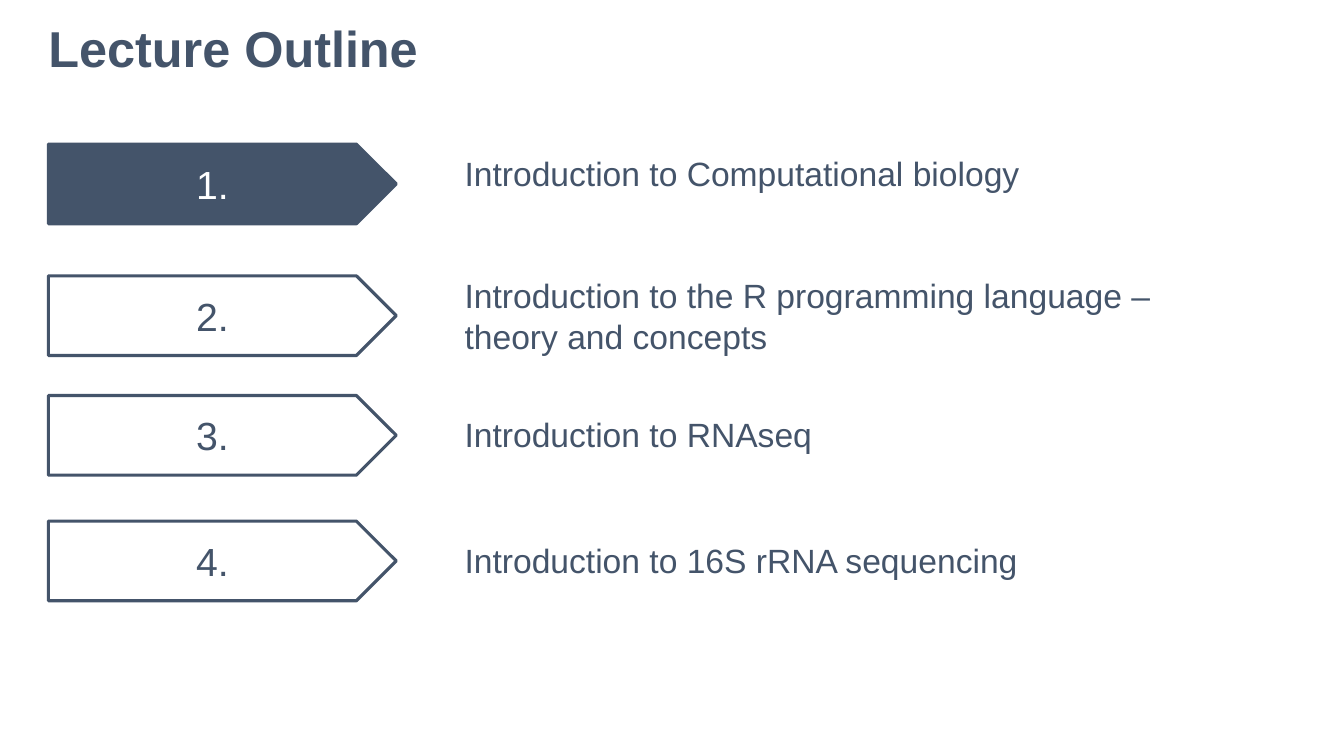
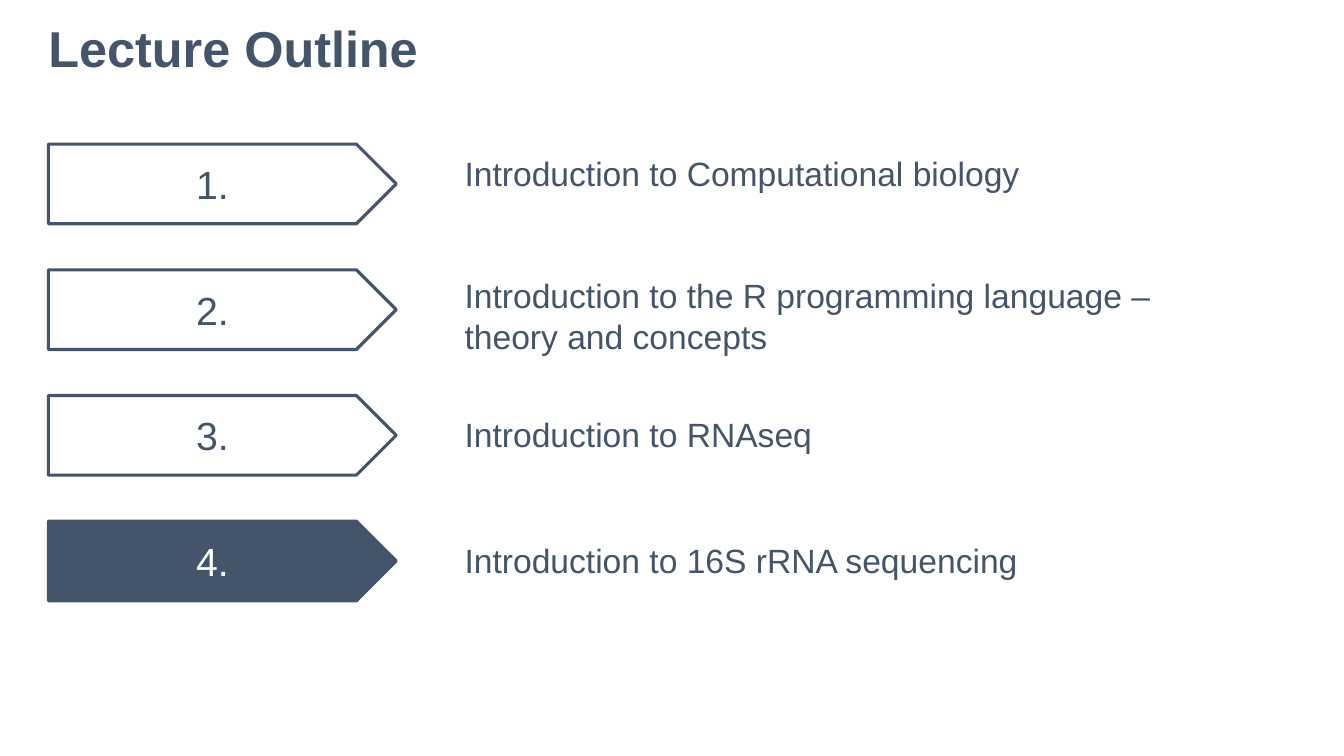
from dataclasses import dataclass

from pptx import Presentation
from pptx.dml.color import RGBColor
from pptx.enum import shapes, text
from pptx.util import Inches, Pt


@dataclass(frozen=True)
class Theme:
    ink: RGBColor = RGBColor(0x44, 0x54, 0x6A)
    paper: RGBColor = RGBColor(0xFF, 0xFF, 0xFF)
    font: str = "Arial"
    title_size: int = 36
    number_size: int = 28
    topic_size: int = 24
    outline: float = 2.25


THEME = Theme()
TITLE = "Lecture Outline"
TOPICS = [
    ("Introduction to Computational biology", 1.47, 0.5),
    ("Introduction to the R programming language – theory and concepts", 2.68, 0.91),
    ("Introduction to RNAseq", 4.06, 0.5),
    ("Introduction to 16S rRNA sequencing", 5.31, 0.5),
]
OUTLINES = [
    {"current": 1, "shifts": {2: 0.06}},
    {"current": 4, "shifts": {}},
]

LEFT = 0.48
TITLE_TOP, TITLE_WIDTH, TITLE_HEIGHT = 0.24, 12.02, 0.87
ARROW_WIDTH, ARROW_HEIGHT = 3.45, 0.79
FIRST_ARROW, LAST_ARROW = 1.43, 5.17
ARROW_STEP = (LAST_ARROW - FIRST_ARROW) / (len(TOPICS) - 1)
TOPIC_LEFT, TOPIC_WIDTH = 4.51, 7.57


def write(shape, words, size, color, align=text.PP_ALIGN.LEFT, bold=False):
    frame = shape.text_frame
    frame.text = words
    frame.word_wrap = True
    paragraph = frame.paragraphs[0]
    paragraph.alignment = align
    font = paragraph.runs[0].font
    font.name, font.size, font.bold = THEME.font, Pt(size), bold
    font.color.rgb = color
    return frame


def add_title(slide):
    title = slide.shapes.title
    title.left, title.top = Inches(LEFT), Inches(TITLE_TOP)
    title.width, title.height = Inches(TITLE_WIDTH), Inches(TITLE_HEIGHT)
    frame = write(title, TITLE, THEME.title_size, THEME.ink, bold=True)
    frame.auto_size = text.MSO_AUTO_SIZE.NONE
    frame.vertical_anchor = text.MSO_ANCHOR.TOP
    frame.margin_left = frame.margin_right = 0
    frame.margin_top = frame.margin_bottom = 0
    frame.paragraphs[0].line_spacing = 0.9


def add_arrow(slide, number, top, is_current):
    arrow = slide.shapes.add_shape(
        shapes.MSO_SHAPE.PENTAGON,
        Inches(LEFT), Inches(top), Inches(ARROW_WIDTH), Inches(ARROW_HEIGHT),
    )
    arrow.shadow.inherit = False
    arrow.fill.solid()
    arrow.fill.fore_color.rgb = THEME.ink if is_current else THEME.paper
    arrow.line.color.rgb = THEME.ink
    arrow.line.width = Pt(THEME.outline)
    color = THEME.paper if is_current else THEME.ink
    frame = write(arrow, f"{number}.", THEME.number_size, color, text.PP_ALIGN.CENTER)
    frame.vertical_anchor = text.MSO_ANCHOR.MIDDLE


def add_topic(slide, topic, top, height):
    box = slide.shapes.add_textbox(
        Inches(TOPIC_LEFT), Inches(top), Inches(TOPIC_WIDTH), Inches(height)
    )
    frame = write(box, topic, THEME.topic_size, THEME.ink)
    frame.auto_size = text.MSO_AUTO_SIZE.SHAPE_TO_FIT_TEXT


def add_outline(presentation, current, shifts):
    slide = presentation.slides.add_slide(presentation.slide_layouts[5])
    add_title(slide)
    for number, (topic, topic_top, height) in enumerate(TOPICS, 1):
        arrow_top = FIRST_ARROW + (number - 1) * ARROW_STEP + shifts.get(number, 0)
        add_arrow(slide, number, arrow_top, number == current)
        add_topic(slide, topic, topic_top, height)


def main():
    presentation = Presentation()
    presentation.slide_width, presentation.slide_height = Inches(13.33), Inches(7.5)
    background = presentation.slide_master.background.fill
    background.solid()
    background.fore_color.rgb = THEME.paper
    for outline in OUTLINES:
        add_outline(presentation, **outline)
    presentation.save("out.pptx")


if __name__ == "__main__":
    main()
